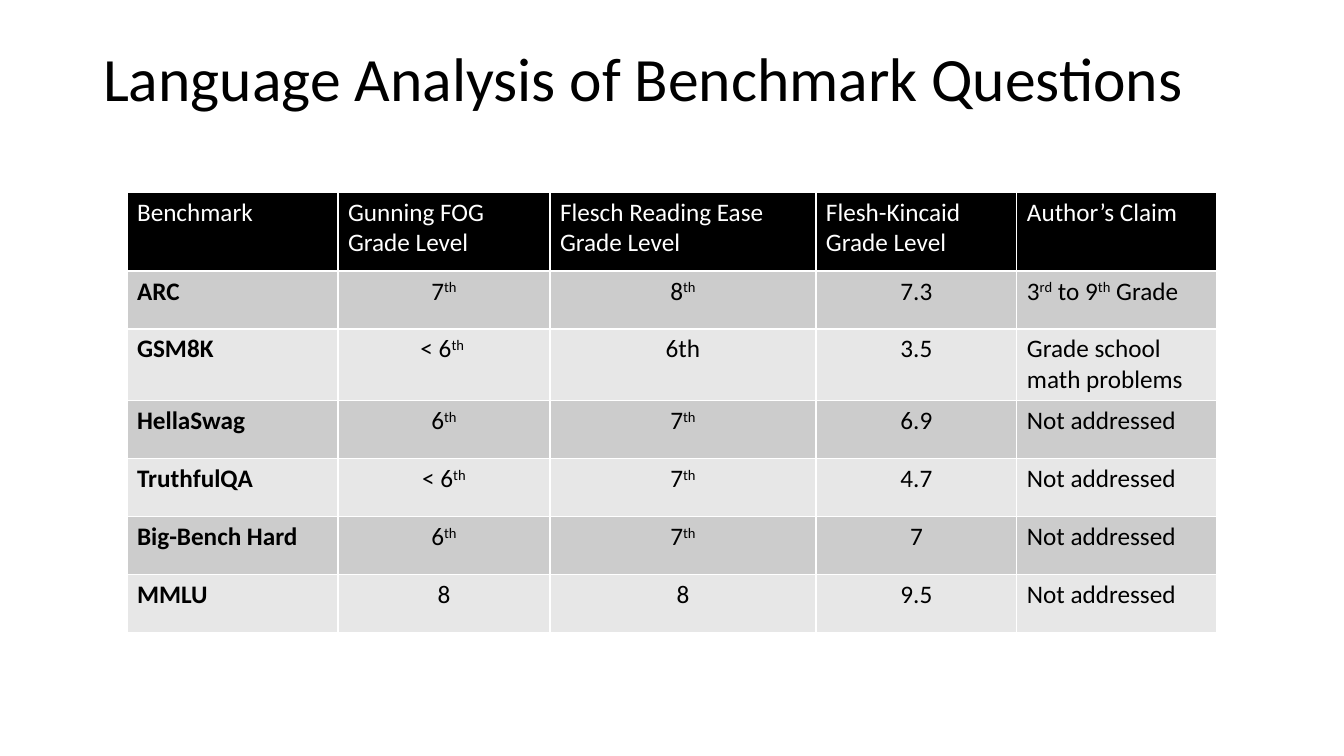
import pptx
import pptx.dml.color
import pptx.enum.text
import pptx.util

SCALE = 914400 / 100.8
FONT = "Calibri"
ALIGN = pptx.enum.text.PP_ALIGN
ANCHOR = pptx.enum.text.MSO_ANCHOR

COLS = [211, 212, 266, 201, 200]
HEAD_H, ROW_H = 79, 58

# Text between carets is superscript
ROWS = [
    ["Benchmark", "Gunning FOG\vGrade Level", "Flesch Reading Ease \vGrade Level",
     "Flesh-Kincaid Grade Level", "Author’s Claim"],
    ["ARC", "7^th^", "8^th^", "7.3", "3^rd^ to 9^th^ Grade"],
    ["GSM8K", "< 6^th ^", "6th", "3.5", "Grade school math problems"],
    ["HellaSwag", "6^th^", "7^th^", "6.9", "Not addressed"],
    ["TruthfulQA", "< 6^th^", "7^th^", "4.7", "Not addressed"],
    ["Big-Bench Hard", "6^th^", "7^th^", "7", "Not addressed"],
    ["MMLU", "8", "8", "9.5", "Not addressed"],
]


def px(n):
    return pptx.util.Emu(round(n * SCALE))


def color(code):
    return pptx.dml.color.RGBColor.from_string(code)


def style(para, size, code, bold=False, align=ALIGN.LEFT):
    para.alignment = align
    font = para.font
    font.name, font.size, font.bold = FONT, pptx.util.Pt(size), bold
    font.color.rgb = color(code)


def write(para, text):
    """Fill a paragraph, raising every part between carets."""
    first, *rest = text.split("^")
    para.text = first
    for i, part in enumerate(rest):
        if part:
            run = para.add_run()
            run.text = part
            if i % 2 == 0:
                run._r.get_or_add_rPr().set("baseline", "30000")


def add_title(slide, text):
    title = slide.shapes.title
    title.left, title.top, title.width, title.height = map(px, (93, 40, 1159, 84))
    frame = title.text_frame
    frame.text = text
    frame.word_wrap = True
    frame.auto_size = pptx.enum.text.MSO_AUTO_SIZE.NONE
    frame.vertical_anchor = ANCHOR.MIDDLE
    para = frame.paragraphs[0]
    para.line_spacing = 0.9
    style(para, 44, "000000")


def fill_cell(cell, text, row, col):
    head = row == 0
    cell.fill.solid()
    cell.fill.fore_color.rgb = color(
        "000000" if head else "CCCCCC" if row % 2 else "E7E7E7")
    para = cell.text_frame.paragraphs[0]
    write(para, text)
    mid = not head and 0 < col < len(COLS) - 1
    # Runs carry the look, since the table style sets the header bold
    for run in para.runs:
        run.font.bold = not head and col == 0
    style(para, 18, "FFFFFF" if head else "000000", not head and col == 0,
          ALIGN.CENTER if mid else ALIGN.LEFT)
    for run in para.runs:
        run.font.color.rgb = color("FFFFFF" if head else "000000")


def add_grid(slide, left, top):
    high = HEAD_H + ROW_H * (len(ROWS) - 1)
    table = slide.shapes.add_table(
        len(ROWS), len(COLS), px(left), px(top), px(sum(COLS)), px(high)).table
    for col, wide in zip(table.columns, COLS):
        col.width = px(wide)
    for r, texts in enumerate(ROWS):
        table.rows[r].height = px(ROW_H if r else HEAD_H)
        for c, text in enumerate(texts):
            fill_cell(table.cell(r, c), text, r, c)


def main():
    deck = pptx.Presentation()
    deck.slide_width, deck.slide_height = px(1344), px(756)
    slide = deck.slides.add_slide(deck.slide_layouts[5])
    add_title(slide, "Language Analysis of Benchmark Questions")
    add_grid(slide, 127, 192)
    deck.save("out.pptx")


if __name__ == "__main__":
    main()
